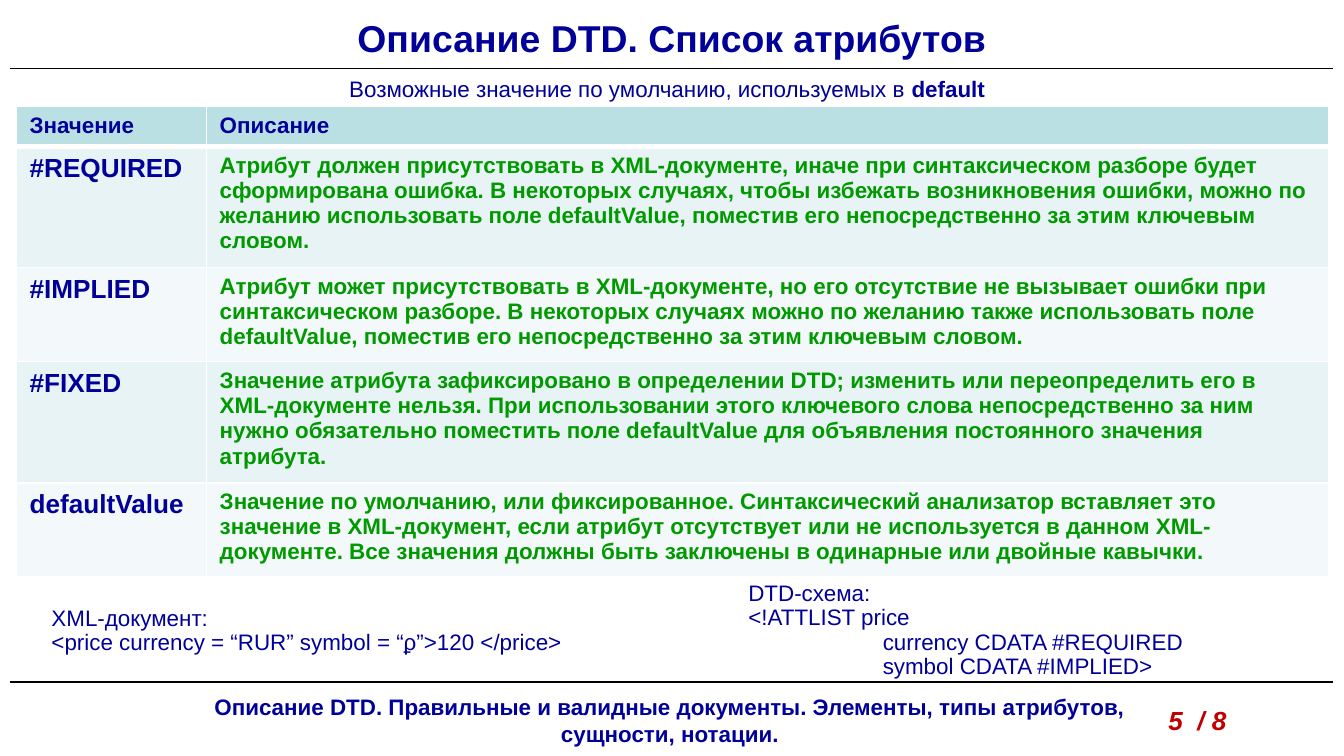
from pptx import Presentation
from pptx import util as u
from pptx.dml.color import RGBColor
from pptx.enum import shapes, text
from pptx.oxml.ns import qn
from lxml import etree

PX = 4572
HUE = {"navy": "000099", "green": "009900", "red": "C00000", "rule": "000000",
       "head": "BBE0E3", "odd": "E7F3F4", "even": "F3F9FA", "edge": "FFFFFF"}
MID, JUST = text.PP_ALIGN.CENTER, text.PP_ALIGN.JUSTIFY
TOP, CORE = text.MSO_ANCHOR.TOP, text.MSO_ANCHOR.MIDDLE

ROWS = [
    ("Значение", "Описание", 58),
    ("#REQUIRED", "Атрибут должен присутствовать в XML-документе, иначе при "
     "синтаксическом разборе будет сформирована ошибка. В некоторых случаях, "
     "чтобы избежать возникновения ошибки, можно по желанию использовать поле "
     "defaultValue, поместив его непосредственно за этим ключевым словом.", 180),
    ("#IMPLIED", "Атрибут может присутствовать в XML-документе, но его отсутствие "
     "не вызывает ошибки при синтаксическом разборе. В некоторых случаях можно по "
     "желанию также использовать поле defaultValue, поместив его непосредственно "
     "за этим ключевым словом.", 140),
    ("#FIXED", "Значение атрибута зафиксировано в определении DTD; изменить или "
     "переопределить его в XML-документе нельзя. При использовании этого ключевого "
     "слова непосредственно за ним нужно обязательно поместить поле defaultValue "
     "для объявления постоянного значения атрибута.", 180),
    ("defaultValue", "Значение по умолчанию, или фиксированное. Синтаксический "
     "анализатор вставляет это значение в XML-документ, если атрибут отсутствует "
     "или не используется в данном XML-документе. Все значения должны быть "
     "заключены в одинарные или двойные кавычки.", 140),
]


def px(*nums):
    return [u.Emu(n * PX) for n in nums]


def paint(item, form):
    for key, val in form.items():
        setattr(item, key, val)


def write(frame, lines, size=12, hue="navy", align=None, gap=None, **style):
    for i, line in enumerate(lines):
        para = frame.paragraphs[0] if i == 0 else frame.add_paragraph()
        paint(para, {"alignment": align, "line_spacing": gap})
        para._p.get_or_add_pPr().set("defTabSz", str(u.Inches(1)))
        for words, bold in line if isinstance(line, list) else [(line, False)]:
            run = para.add_run()
            run.text = words
            form = {"name": "Arial", "size": u.Pt(size), "bold": bold, **style}
            paint(run.font, form)
            run.font.color.rgb = RGBColor.from_string(HUE[hue])


def note(slide, box, lines, **style):
    frame = slide.shapes.add_textbox(*px(*box)).text_frame
    paint(frame, {"word_wrap": True, "vertical_anchor": TOP})
    write(frame, lines, **style)


def rule(slide, x, y, wide):
    line = slide.shapes.add_connector(
        shapes.MSO_CONNECTOR.STRAIGHT, *px(x, y, x + wide, y))
    line.line.width = u.Pt(0.75)
    line.line.color.rgb = RGBColor.from_string(HUE["rule"])
    etree.SubElement(line._element.spPr, qn("a:effectLst"))


def edge(cell, sides):
    props = cell._tc.get_or_add_tcPr()
    for i, (side, width) in enumerate(sides.items()):
        line = etree.Element(qn("a:ln" + side), w=str(u.Pt(width)))
        fill = etree.SubElement(line, qn("a:solidFill"))
        etree.SubElement(fill, qn("a:srgbClr"), val=HUE["edge"])
        props.insert(i, line)


def header(slide, box):
    x, y, wide, high = box
    title = slide.shapes.title
    paint(title, dict(zip(("left", "top", "width", "height"), px(*box))))
    paint(title.text_frame, {"word_wrap": True, "vertical_anchor": CORE,
                             "auto_size": text.MSO_AUTO_SIZE.NONE})
    write(title.text_frame, ["Описание DTD. Список атрибутов"],
          size=20, align=MID, bold=True)
    rule(slide, x + 15, y + high + 1, wide - 31)
    note(slide, (x + 500, y + 95, 1000, 92),
         [[("Возможные значение по умолчанию, используемых в ", False),
           ("default ", True)]], align=JUST, gap=0.9)


def grid(slide, box):
    table = slide.shapes.add_table(len(ROWS), 2, *px(*box)).table
    first = 283
    for col, wide in zip(table.columns, px(first, box[2] - first)):
        col.width = wide
    for r, (name, about, high) in enumerate(ROWS):
        table.rows[r].height = px(high)[0]
        for c, words in enumerate((name, about)):
            cell = table.cell(r, c)
            tone = "odd" if r % 2 else "even" if r else "head"
            cell.fill.solid()
            cell.fill.fore_color.rgb = RGBColor.from_string(HUE[tone])
            edge(cell, {"L": 1, "R": 1, "T": 3 if r == 1 else 1,
                        "B": 1 if r else 3})
            write(cell.text_frame, [words], size=14 if r and not c else 12,
                  hue="green" if r and c else "navy", bold=True)


def sample(slide, box):
    x, y, wide, high = box
    note(slide, (x, y + 37, 812, 92),
         ["XML-документ:", "<price currency = “RUR” symbol = “ϼ”>120 </price>"],
         align=JUST, gap=0.9)
    note(slide, (x + wide - 812, y, 812, high),
         ["DTD-схема:", "<!ATTLIST price", "\tcurrency CDATA #REQUIRED",
          "\tsymbol CDATA #IMPLIED>"], align=JUST, gap=0.9)


def footer(slide, box):
    x, y, wide, high = box
    rule(slide, x + 15, y, wide - 31)
    note(slide, (x + 251, y + 7, 1492, 100),
         ["Описание DTD. Правильные и валидные документы. Элементы, типы "
          "атрибутов, сущности, нотации."], align=MID, bold=True)
    note(slide, (x + 1719, y + 23, 204, 68), ["5  / 8"], size=14, hue="red",
         bold=True, italic=True)


def main():
    deck = Presentation()
    deck.slide_width, deck.slide_height = px(2000, 1125)
    slide = deck.slides.add_slide(deck.slide_layouts[5])
    header(slide, (0, 11, 2000, 90))
    grid(slide, (24, 158, 1953, sum(row[2] for row in ROWS)))
    sample(slide, (57, 857, 1849, 166))
    footer(slide, (0, 1015, 2000, 110))
    deck.save("out.pptx")


if __name__ == "__main__":
    main()
